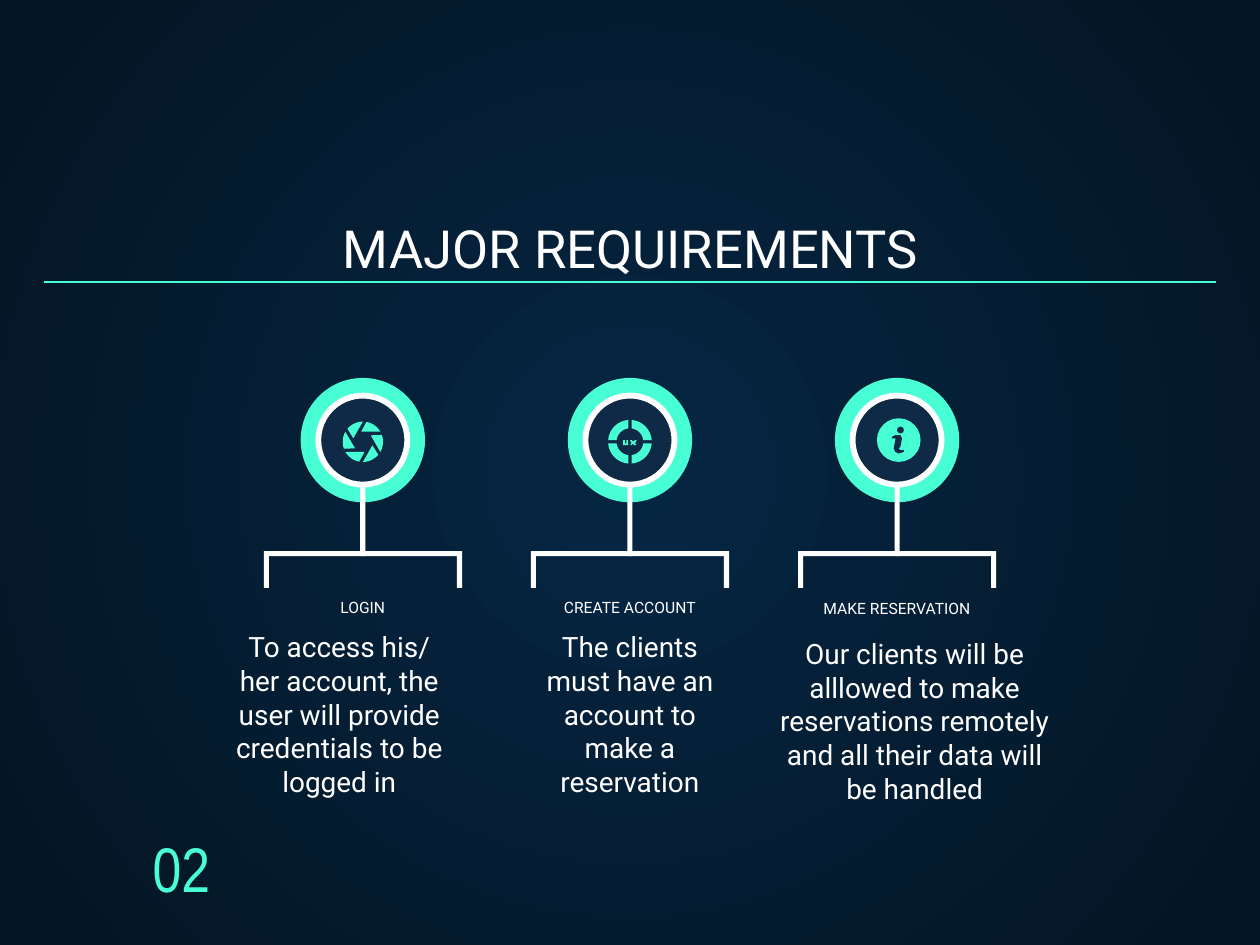
from math import asin, cos, pi, radians, sin

from lxml import etree
from pptx import Presentation
from pptx.dml.color import RGBColor
from pptx.enum.shapes import MSO_CONNECTOR, MSO_SHAPE
from pptx.enum.text import MSO_ANCHOR, MSO_AUTO_SIZE, PP_ALIGN
from pptx.oxml.ns import qn
from pptx.util import Inches, Pt

OVAL, ROUNDED = MSO_SHAPE.OVAL, MSO_SHAPE.ROUNDED_RECTANGLE
STRAIGHT = MSO_CONNECTOR.STRAIGHT
TOP, BOTTOM = MSO_ANCHOR.TOP, MSO_ANCHOR.BOTTOM
CENTER = PP_ALIGN.CENTER
NO_FIT = MSO_AUTO_SIZE.NONE
TEAL, NAVY, WHITE = "48FFD5", "0E2A47", "FFFFFF"
FONT = "Roboto"
WIDTH = 7.5
CENTERS = (2.16, 3.75, 5.34)
ICON_Y = 2.62
STROKE = 0.03
CAPTIONS = (("LOGIN", 1.31, 3.58), ("CREATE ACCOUNT", 2.9, 3.58),
            ("MAKE RESERVATION", 4.49, 3.59))
BODIES = (
    ("To access his/ her account, the user will provide credentials to be logged in",
     (1.31, 3.68, 1.42, 0.64)),
    ("The clients must have an account to make a reservation",
     (3.18, 3.68, 1.14, 0.63)),
    ("Our clients will be alllowed to make reservations remotely "
     "and all their data will be handled", (4.53, 3.72, 1.83, 1.42)),
)
LETTER_U = ((3.71, 2.62), (3.72, 2.62), (3.72, 2.64), (3.73, 2.64),
            (3.73, 2.62), (3.74, 2.62), (3.74, 2.65), (3.71, 2.65))
LETTER_X = ((3.75, 2.62), (3.76, 2.62), (3.77, 2.63), (3.78, 2.62),
            (3.79, 2.62), (3.78, 2.64), (3.79, 2.65), (3.77, 2.65),
            (3.77, 2.64), (3.76, 2.65), (3.75, 2.65), (3.76, 2.64))
LETTER_I = ((5.31, 2.6), (5.33, 2.59), (5.36, 2.59), (5.37, 2.61),
            (5.36, 2.66), (5.35, 2.67), (5.36, 2.68), (5.38, 2.68),
            (5.38, 2.69), (5.35, 2.7), (5.33, 2.69), (5.32, 2.67),
            (5.33, 2.62), (5.33, 2.61), (5.31, 2.61))


def rgb(color):
    """Turn a hex string into a colour."""
    return RGBColor.from_string(color)


def set_background(slide, inner, outer):
    """Fill the slide with a circular gradient."""
    fill = slide.background.fill
    fill.gradient()
    for stop, color in zip(fill.gradient_stops, (inner, outer)):
        stop.color.rgb = rgb(color)
    grad = next(slide.element.iter(qn("a:gradFill")))
    grad.remove(grad.find(qn("a:lin")))
    circle = etree.SubElement(grad, qn("a:path"), path="circle")
    etree.SubElement(circle, qn("a:fillToRect"),
                     dict.fromkeys("ltrb", "50000"))


def write(sp, text, box, size, color=WHITE, font=FONT, anchor=TOP):
    """Place a text shape and write one centred run in it."""
    sp.left, sp.top, sp.width, sp.height = map(Inches, box)
    tf = sp.text_frame
    tf.word_wrap = True
    tf.auto_size = NO_FIT
    tf.vertical_anchor = anchor
    tf.margin_left = tf.margin_right = Inches(0.07)
    tf.margin_top = tf.margin_bottom = Inches(0.07)
    p = tf.paragraphs[0]
    p.alignment = CENTER
    p.space_before = Pt(0)
    pPr = p._p.get_or_add_pPr()
    pPr.set("marL", "0")
    pPr.set("indent", "0")
    etree.SubElement(pPr, qn("a:buNone"))
    r = p.add_run()
    r.text = text
    r.font.size = Pt(size)
    r.font.name = font
    r.font.bold = False
    r.font.color.rgb = rgb(color)


def add_label(slide, text, box, size, **style):
    """Add a bottom-anchored text box."""
    sp = slide.shapes.add_textbox(*map(Inches, box))
    write(sp, text, box, size, anchor=BOTTOM, **style)


def paint(sp, color):
    """Give a shape a flat fill."""
    sp.shadow.inherit = False
    sp.fill.solid()
    sp.fill.fore_color.rgb = rgb(color)
    sp.line.fill.background()
    return sp


def add_preset(slide, kind, box, color):
    """Add a flat preset shape."""
    return paint(slide.shapes.add_shape(kind, *map(Inches, box)), color)


def add_disc(slide, cx, cy, d, color):
    """Add a circle around a centre."""
    return add_preset(slide, OVAL, (cx - d / 2, cy - d / 2, d, d), color)


def add_polygon(slide, points, color):
    """Add a closed outline through points in inches."""
    start, *rest = [(Inches(x), Inches(y)) for x, y in points]
    builder = slide.shapes.build_freeform(*start)
    builder.add_line_segments(rest)
    return paint(builder.convert_to_shape(), color)


def arc(cx, cy, radius, start, end, steps=8):
    """List points on an arc between two angles in radians."""
    angles = [start + (end - start) * i / steps for i in range(steps + 1)]
    return [(cx + radius * cos(a), cy + radius * sin(a)) for a in angles]


def add_bracket(slide, cx):
    """Draw the badge, stem and bracket of one column."""
    left, right, top, bottom = cx - 0.59, cx + 0.59, 3.28, 3.5
    add_polygon(slide, (
        (left, top), (right, top), (right, bottom), (right - STROKE, bottom),
        (right - STROKE, top + STROKE), (left + STROKE, top + STROKE),
        (left + STROKE, bottom), (left, bottom)), WHITE)
    add_disc(slide, cx, ICON_Y, 0.74, TEAL)
    add_preset(slide, ROUNDED, (cx - STROKE / 2, 2.56, STROKE, 0.75), WHITE)
    badge = add_disc(slide, cx, ICON_Y, 0.53, NAVY)
    badge.line.color.rgb = rgb(WHITE)
    badge.line.width = Pt(2.5)


def add_aperture(slide, cx, cy):
    """Draw six shutter blades, each turned by 60 degrees."""
    for k in range(6):
        turn = radians(60 * k)
        blade = arc(0, 0, 0.12, radians(-80), radians(-30)) + [(-0.01, -0.06)]
        add_polygon(slide, [(cx + x * cos(turn) - y * sin(turn),
                             cy + x * sin(turn) + y * cos(turn))
                            for x, y in blade], TEAL)


def add_target(slide, cx, cy):
    """Draw a ring in four parts around the letters UX."""
    outer, inner, gap = 0.13, 0.08, 0.01
    for k in range(4):
        start, end = k * pi / 2, (k + 1) * pi / 2
        a, b = asin(gap / outer), asin(gap / inner)
        add_polygon(slide, arc(cx, cy, outer, start + a, end - a)
                    + arc(cx, cy, inner, end - b, start + b), TEAL)
    for letter in (LETTER_U, LETTER_X):
        add_polygon(slide, letter, TEAL)


def add_info(slide, cx, cy):
    """Draw a disc with the letter i."""
    add_disc(slide, cx, cy, 0.26, TEAL)
    add_disc(slide, cx + 0.01, cy - 0.06, 0.04, NAVY)
    add_polygon(slide, LETTER_I, NAVY)


def add_rule(slide, x1, x2, y):
    """Draw the line under the title."""
    line = slide.shapes.add_connector(
        STRAIGHT, Inches(x1), Inches(y), Inches(x2), Inches(y))
    line.line.color.rgb = rgb(TEAL)
    line.line.width = Pt(0.75)
    etree.SubElement(line._element.spPr, qn("a:effectLst"))


def main():
    """Build the requirements slide."""
    prs = Presentation()
    prs.slide_width, prs.slide_height = Inches(WIDTH), Inches(WIDTH * 3 / 4)
    slide = prs.slides.add_slide(prs.slide_layouts.get_by_name("Comparison"))
    set_background(slide, "052643", "041523")
    title, *bodies, spare = slide.placeholders
    spare._element.getparent().remove(spare._element)
    write(title, "MAJOR REQUIREMENTS", (0.26, 1.23, 6.99, 0.5), 22.5,
          anchor=BOTTOM)
    for sp, (text, box) in zip(bodies, BODIES):
        write(sp, text, box, 12)
    for text, left, top in CAPTIONS:
        add_label(slide, text, (left, top, 1.7, 0.16), 6.75)
    for cx in CENTERS:
        add_bracket(slide, cx)
    add_aperture(slide, 2.16, 2.63)
    add_target(slide, 3.75, 2.63)
    add_info(slide, 5.35, 2.62)
    add_rule(slide, 0.26, 7.24, 1.68)
    add_label(slide, "02", (0.07, 4.96, 2.02, 0.5), 27, color=TEAL,
              font="Arial Narrow")
    prs.save("out.pptx")


main()
